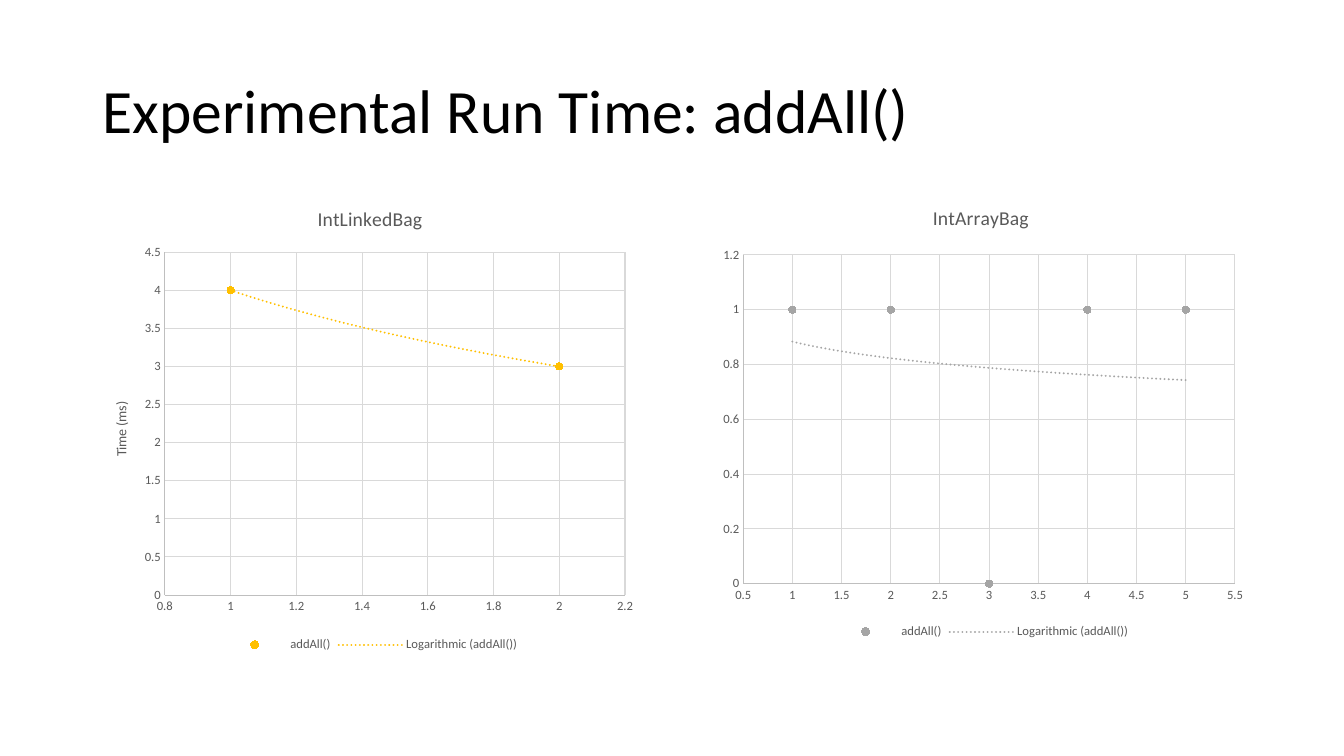
from lxml import etree
from pptx import Presentation
from pptx import util as u
from pptx.chart.data import XyChartData
from pptx.dml.color import RGBColor
from pptx.enum import chart as ch, text
from pptx.oxml import parse_xml
from pptx.oxml.ns import nsdecls, qn

FONT = "Calibri"
COLORS = {"title": "000000", "label": "595959", "axis": "BFBFBF",
          "grid": "D9D9D9", "linked": "FFC000", "array": "A5A5A5"}
TITLE = "Experimental Run Time: addAll()"
SERIES = "addAll()"
# box: left, top, width, height; plot: the same as fractions of the chart
# x_scale, y_scale: minimum, maximum, step
CHARTS = [
    {"title": "IntArrayBag", "color": "array", "box": (7.05, 1.85, 5.36, 4.53),
     "points": [(1, 1), (2, 1), (3, 0), (4, 1), (5, 1)],
     "x_scale": (0.5, 5.5, 0.5), "y_scale": (0, 1.2, 0.2),
     "y_title": None, "plot": (0.06, 0.15, 0.91, 0.72)},
    {"title": "IntLinkedBag", "color": "linked", "box": (0.92, 1.85, 5.5, 4.66),
     "points": [(1, 4), (2, 3)],
     "x_scale": (0.8, 2.2, 0.2), "y_scale": (0, 4.5, 0.5),
     "y_title": "Time (ms)", "plot": (0.13, 0.14, 0.83, 0.73)},
]


def rgb(name):
    return RGBColor.from_string(COLORS[name])


def style_font(font, size, color):
    font.name, font.size, font.bold = FONT, u.Pt(size), False
    font.color.rgb = rgb(color)


def add_run(tf, words, size, color):
    r = tf.paragraphs[0].add_run()
    r.text = words
    style_font(r.font, size, color)


def style_line(line, color):
    line.color.rgb = rgb(color)
    line.width = u.Pt(0.75)


def style_axis(axis, scale):
    axis.minimum_scale, axis.maximum_scale, axis.major_unit = scale
    axis.has_major_gridlines = True
    axis.major_tick_mark = axis.minor_tick_mark = ch.XL_TICK_MARK.NONE
    axis.tick_labels.number_format = "General"
    axis.tick_labels.number_format_is_linked = False
    style_font(axis.tick_labels.font, 9, "label")
    style_line(axis.format.line, "axis")
    style_line(axis.major_gridlines.format.line, "grid")


def place_plot(chart, plot):
    """Fix the inner plot area at the given fractions of the chart."""
    area = chart.element.find(".//" + qn("c:plotArea"))
    layout = area.find(qn("c:layout"))
    if layout is None:
        layout = etree.Element(qn("c:layout"))
        area.insert(0, layout)
    manual = etree.SubElement(layout, qn("c:manualLayout"))
    settings = [("layoutTarget", "inner"), ("xMode", "edge"), ("yMode", "edge")]
    for tag, value in settings + list(zip("xywh", plot)):
        etree.SubElement(manual, qn("c:" + tag)).set("val", str(value))


def add_log_trend(series, color):
    trend = parse_xml(
        f'<c:trendline {nsdecls("c", "a")}><c:spPr><a:ln w="19050" cap="rnd">'
        f'<a:solidFill><a:srgbClr val="{COLORS[color]}"/></a:solidFill>'
        '<a:prstDash val="sysDot"/></a:ln></c:spPr>'
        '<c:trendlineType val="log"/><c:dispRSqr val="0"/><c:dispEq val="0"/>'
        '</c:trendline>')
    series._element.find(qn("c:xVal")).addprevious(trend)


def add_scatter(s, item):
    data = XyChartData()
    points = data.add_series(SERIES)
    for x, y in item["points"]:
        points.add_data_point(x, y)
    chart = s.shapes.add_chart(ch.XL_CHART_TYPE.XY_SCATTER,
                               *map(u.Inches, item["box"]), data).chart
    style_font(chart.font, 10, "title")
    add_run(chart.chart_title.text_frame, item["title"], 14, "label")
    chart.chart_title.include_in_layout = False
    chart.has_legend = True
    chart.legend.position = ch.XL_LEGEND_POSITION.BOTTOM
    chart.legend.include_in_layout = False
    style_font(chart.legend.font, 9, "label")

    style_axis(chart.category_axis, item["x_scale"])
    style_axis(chart.value_axis, item["y_scale"])
    if item["y_title"]:
        tf = chart.value_axis.axis_title.text_frame
        add_run(tf, item["y_title"], 10, "label")
        tf._txBody.bodyPr.set("rot", "-5400000")
        tf._txBody.bodyPr.set("vert", "horz")
    place_plot(chart, item["plot"])

    chart.plots[0].vary_by_categories = False
    series = chart.plots[0].series[0]
    series.smooth = False
    series.format.line.fill.background()
    marker = series.marker
    marker.style, marker.size = ch.XL_MARKER_STYLE.CIRCLE, 5
    marker.format.fill.solid()
    marker.format.fill.fore_color.rgb = rgb(item["color"])
    marker.format.line.color.rgb = rgb(item["color"])
    add_log_trend(series, item["color"])


def main():
    prs = Presentation()
    prs.slide_width, prs.slide_height = u.Inches(13.33), u.Inches(7.5)
    s = prs.slides.add_slide(prs.slide_layouts[6])
    tf = s.shapes.add_textbox(*map(u.Inches, (0.92, 0.4, 11.5, 1.45))).text_frame
    tf.word_wrap = True
    tf.vertical_anchor = text.MSO_ANCHOR.MIDDLE
    tf.paragraphs[0].line_spacing = 0.9
    add_run(tf, TITLE, 44, "title")
    for item in CHARTS:
        add_scatter(s, item)
    prs.save("out.pptx")


if __name__ == "__main__":
    main()
